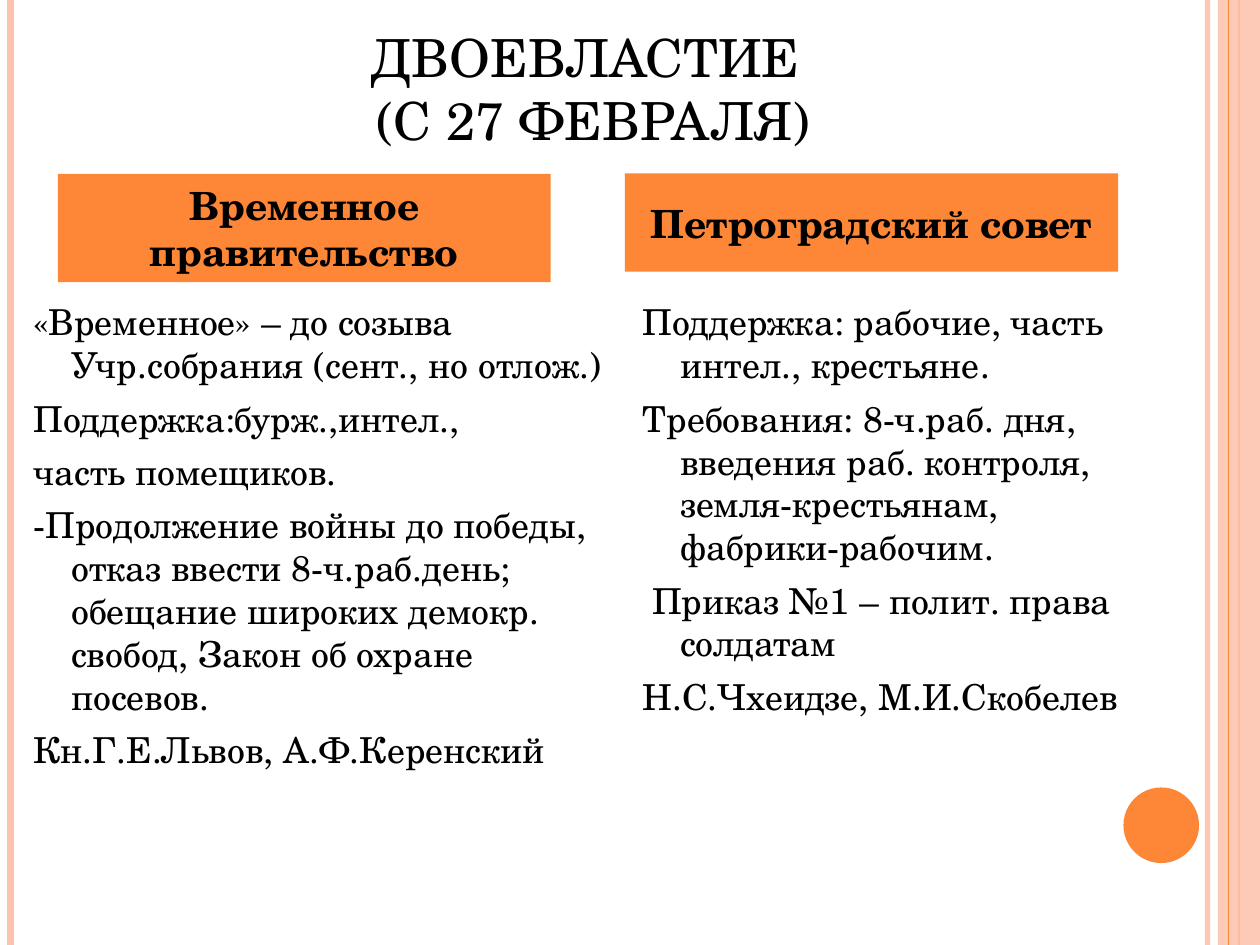
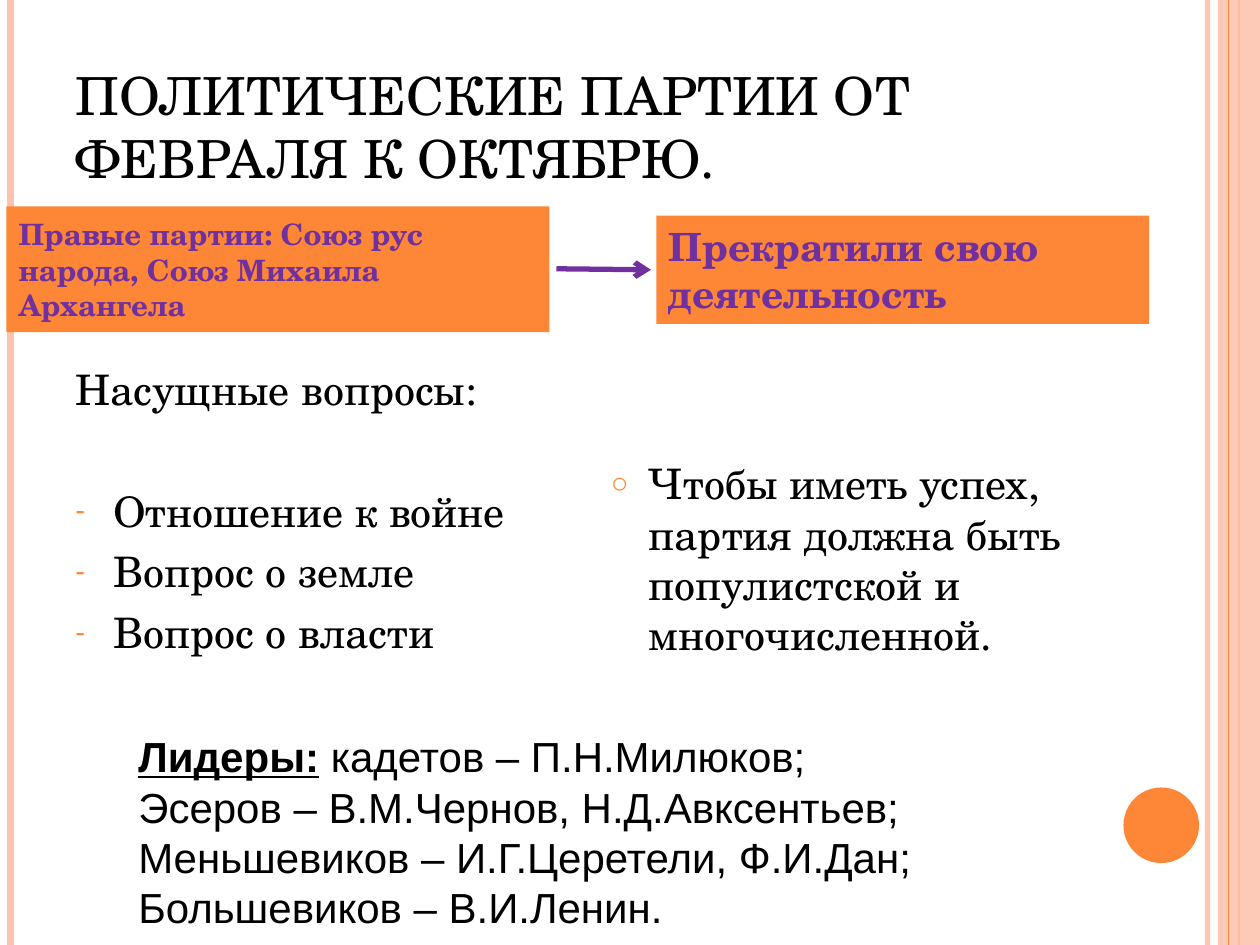
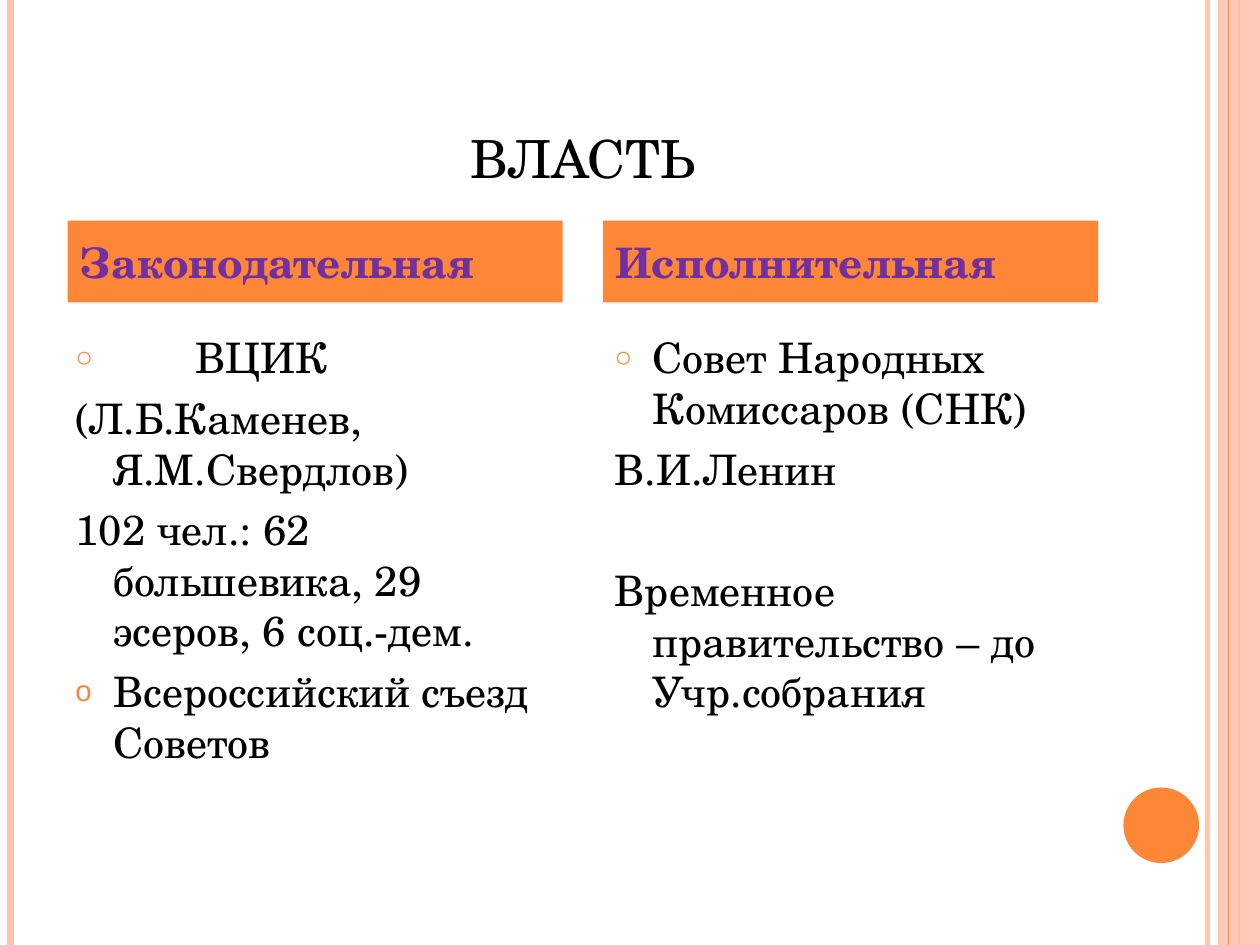
from dataclasses import dataclass

from lxml.etree import SubElement
from pptx import Presentation
from pptx.dml.color import RGBColor as RGB
from pptx.enum.shapes import MSO_CONNECTOR as Link, MSO_SHAPE as Form
from pptx.enum.text import MSO_ANCHOR as Anchor, PP_ALIGN as Align
from pptx.oxml.ns import qn
from pptx.util import Pt


@dataclass(frozen=True)
class Theme:
    paper: str = "FFFFFF"
    ink: str = "000000"
    main: str = "FE8637"
    pale: str = "FEC3AE"
    accent: str = "7030A0"
    serif: str = "TeX Gyre Schola"
    sans: str = "Arial"
    title: float = 30
    body: float = 24
    dense: float = 20.4
    label: float = 22.2
    small: float = 16.8


T = Theme()
WIDE, HIGH = 720, 540
HANG = 21.6   # hanging indent of body text
GAP = 6       # space before a body paragraph
BREAK = 40.8  # space before a new group of paragraphs


@dataclass
class Item:
    text: str
    mark: str = ""
    left: float = HANG
    hang: float = HANG
    gap: float = GAP


# Basic helpers
def fade(fill, share):
    """Set the opacity of a solid fill element, in percent."""
    color = fill.find(".//" + qn("a:srgbClr"))
    SubElement(color, qn("a:alpha"), val=str(share * 1000))


def add_run(para, text, size, color=T.ink, face=T.serif, bold=False, line=False):
    run = para.add_run()
    run.text = text
    font = run.font
    font.name, font.size = face, Pt(size)
    font.bold, font.underline = bold, line
    font.color.rgb = RGB.from_string(color)


def add_box(slide, area, anchor=Anchor.TOP):
    frame = slide.shapes.add_textbox(*map(Pt, area)).text_frame
    frame.word_wrap = True
    frame.vertical_anchor = anchor
    return frame


def add_form(slide, kind, area, color):
    shape = slide.shapes.add_shape(kind, *map(Pt, area))
    shape.shadow.inherit = False
    shape.fill.solid()
    shape.fill.fore_color.rgb = RGB.from_string(color)
    shape.line.fill.background()
    return shape


def add_line(slide, start, end, color, width):
    line = slide.shapes.add_connector(Link.STRAIGHT, *map(Pt, start + end))
    line.line.color.rgb = RGB.from_string(color)
    line.line.width = Pt(width)
    SubElement(line._element.spPr, qn("a:effectLst"))
    return line


def add_mark(para, mark):
    props = para._p.get_or_add_pPr()
    color = SubElement(props, qn("a:buClr"))
    SubElement(color, qn("a:srgbClr"), val=T.main)
    SubElement(props, qn("a:buSzPct"), val="70000")
    SubElement(props, qn("a:buFont"), typeface=T.sans)
    SubElement(props, qn("a:buChar"), char=mark)


# Slide elements
def add_rule(slide, x, color, width):
    return add_line(slide, (x, 0), (x, HIGH), color, width)


def add_page(deck):
    """Blank slide with the side bands and the round badge."""
    slide = deck.slides.add_slide(deck.slide_layouts[6])
    back = slide.background.fill
    back.solid()
    back.fore_color.rgb = RGB.from_string(T.paper)
    inner = add_rule(slide, 690, T.pale, 3)
    fade(inner._element.spPr, 93)
    add_rule(slide, 6, T.pale, 4.5)
    add_rule(slide, 708, T.main, 1.5)
    band = add_form(slide, Form.RECTANGLE, (696, 0, 24, HIGH), T.pale)
    fade(band._element.spPr, 87)
    add_rule(slide, 702, T.main, 0.75)
    add_form(slide, Form.OVAL, (642, 450, 43.2, 43.2), T.main)
    return slide


def add_title(slide, lines, x=36, y=21.6, align=Align.CENTER):
    para = add_box(slide, (x, y, 594, 90), Anchor.BOTTOM).paragraphs[0]
    para.alignment = align
    for i, text in enumerate(lines):
        if i:
            para.add_line_break()
        add_run(para, text, T.title)


def add_label(slide, area, text, size, color=T.accent, align=Align.LEFT):
    frame = add_form(slide, Form.RECTANGLE, area, T.main).text_frame
    frame.word_wrap = True
    frame.vertical_anchor = Anchor.MIDDLE
    para = frame.paragraphs[0]
    para.alignment = align
    add_run(para, text, size, color, bold=True)


def add_body(slide, area, items, size=T.body):
    frame = add_box(slide, area)
    for i, item in enumerate(items):
        para = frame.add_paragraph() if i else frame.paragraphs[0]
        props = para._p.get_or_add_pPr()
        props.set("marL", str(Pt(item.left)))
        props.set("indent", str(-Pt(item.hang)))
        if i:
            para.space_before = Pt(item.gap)
        if item.mark:
            add_mark(para, item.mark)
        add_run(para, item.text, size)


def add_arrow(slide, start, end):
    arrow = add_line(slide, start, end, T.accent, 3)
    SubElement(arrow.line._get_or_add_ln(), qn("a:tailEnd"), type="arrow")


def add_chiefs(slide, area, head, lines):
    frame = add_box(slide, area)
    for i, text in enumerate(lines):
        para = frame.add_paragraph() if i else frame.paragraphs[0]
        if not i:
            add_run(para, head, T.body, face=T.sans, bold=True, line=True)
        add_run(para, text, T.body, face=T.sans)


# Slides
def dual_power(deck):
    slide = add_page(deck)
    add_title(slide, ["ДВОЕВЛАСТИЕ ", "(С 27 ФЕВРАЛЯ)"], x=42, y=0)
    add_body(slide, (12, 168, 342, 306), [
        Item("«Временное» – до созыва Учр.собрания (сент., но отлож.)"),
        Item("Поддержка:бурж.,интел.,"),
        Item("часть помещиков."),
        Item("-Продолжение войны до победы, отказ ввести 8-ч.раб.день; "
             "обещание широких демокр. свобод, Закон об охране посевов."),
        Item("Кн.Г.Е.Львов, А.Ф.Керенский"),
    ], T.dense)
    add_body(slide, (360, 168, 288, 306), [
        Item("Поддержка: рабочие, часть интел., крестьяне."),
        Item("Требования: 8-ч.раб. дня, введения раб. контроля, "
             "земля-крестьянам, фабрики-рабочим."),
        Item("Приказ №1 – полит. права солдатам", hang=16),
        Item("Н.С.Чхеидзе, М.И.Скобелев"),
    ], T.dense)
    for area, text in (
        ((33.1, 99.4, 281.5, 61.9), "Временное правительство"),
        ((357.1, 99.1, 281.9, 56.2), "Петроградский совет"),
    ):
        add_label(slide, area, text, T.label, T.ink, Align.CENTER)


def parties(deck):
    slide = add_page(deck)
    add_title(slide, ["ПОЛИТИЧЕСКИЕ ПАРТИИ ОТ ФЕВРАЛЯ К ОКТЯБРЮ."],
              align=Align.LEFT)
    add_body(slide, (36, 204, 288, 306), [
        Item("Насущные вопросы:"),
        Item("Отношение к войне", "-", gap=BREAK),
        Item("Вопрос о земле", "-"),
        Item("Вопрос о власти", "-"),
    ])
    add_body(slide, (342, 258, 288, 270), [
        Item("Чтобы иметь успех, партия должна быть популистской "
             "и многочисленной.", "○"),
    ])
    add_label(slide, (3.6, 117.9, 310.4, 72),
              "Правые партии: Союз рус народа, Союз Михаила Архангела", T.small)
    add_label(slide, (375.1, 123.2, 281.5, 61.9),
              "Прекратили свою деятельность", T.label)
    add_arrow(slide, (318, 153.6), (372, 154.2))
    add_chiefs(slide, (72, 414, 582, 122.4), "Лидеры:", [
        " кадетов – П.Н.Милюков;",
        "Эсеров – В.М.Чернов, Н.Д.Авксентьев;",
        "Меньшевиков – И.Г.Церетели, Ф.И.Дан;",
        "Большевиков – В.И.Ленин.",
    ])


def powers(deck):
    slide = add_page(deck)
    add_title(slide, ["ВЛАСТЬ"])
    add_body(slide, (36, 186, 288, 306), [
        Item("ВЦИК", "○", left=68.4, hang=68.4),
        Item("(Л.Б.Каменев, Я.М.Свердлов)"),
        Item("102 чел.: 62 большевика, 29 эсеров, 6 соц.-дем."),
        Item("Всероссийский съезд Советов", "o"),
    ])
    add_body(slide, (344.2, 186, 288, 306), [
        Item("Совет Народных Комиссаров (СНК)", "○"),
        Item("В.И.Ленин"),
        Item("Временное правительство – до Учр.собрания", gap=BREAK),
    ])
    for x, text in ((38.6, "Законодательная"), (344.6, "Исполнительная")):
        add_label(slide, (x, 126, 283, 46.8), text, T.body)


def main():
    deck = Presentation()
    deck.slide_width, deck.slide_height = Pt(WIDE), Pt(HIGH)
    for build in (dual_power, parties, powers):
        build(deck)
    deck.save("out.pptx")


if __name__ == "__main__":
    main()
